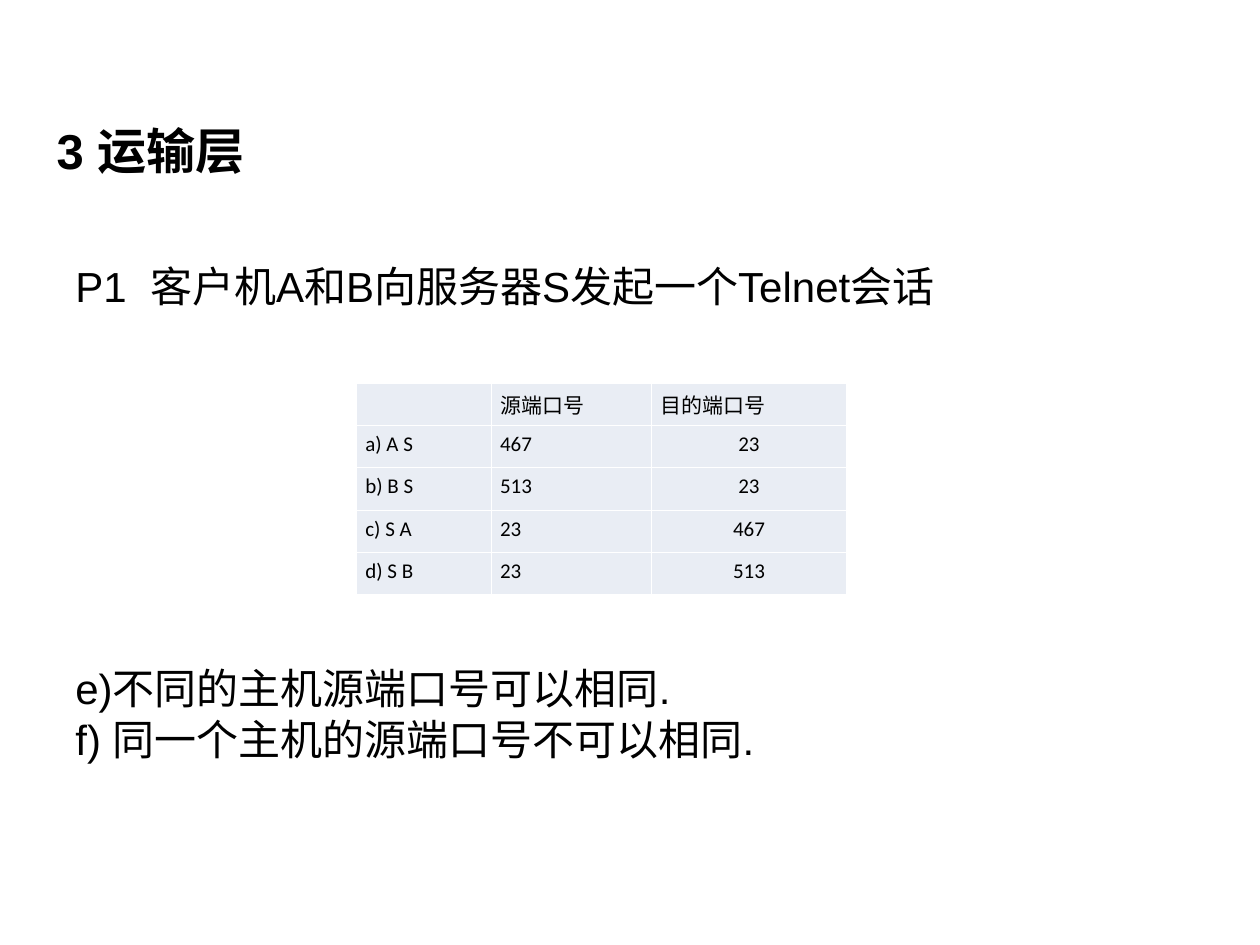
from lxml import etree
from pptx import Presentation
from pptx.dml.color import RGBColor
from pptx.enum.text import PP_ALIGN
from pptx.oxml.ns import qn
from pptx.util import Inches, Pt

COLORS = {"text": "000000", "cell": "E9EDF4", "border": "FFFFFF"}
ROWS = [
    ("", "源端口号", "目的端口号"),
    ("a) A S", "467", "23"),
    ("b) B S", "513", "23"),
    ("c) S A", "23", "467"),
    ("d) S B", "23", "513"),
]
COLUMN_WIDTHS = (1.07, 1.27, 1.55)


def style_runs(p, font, size, bold=False):
    """Give every run of a paragraph the same font."""
    for r in p.runs:
        r.font.name = font
        r.font.size = Pt(size)
        r.font.bold = bold
        r.font.color.rgb = RGBColor.from_string(COLORS["text"])


def add_text(s, box, lines, size, bold=False):
    """Place lines of text in a box and return their paragraphs."""
    tf = s.shapes.add_textbox(*map(Inches, box)).text_frame
    tf.word_wrap = True
    tf.text = "\n".join(lines)
    for p in tf.paragraphs:
        style_runs(p, "Arial", size, bold)
    return tf.paragraphs


def add_borders(cell):
    """Draw thin lines on the four sides of a cell."""
    tc_pr = cell._tc.get_or_add_tcPr()
    for i, side in enumerate(("lnL", "lnR", "lnT", "lnB")):
        ln = etree.Element(qn(f"a:{side}"), w=str(Pt(0.45)))
        fill = etree.SubElement(ln, qn("a:solidFill"))
        etree.SubElement(fill, qn("a:srgbClr"), val=COLORS["border"])
        tc_pr.insert(i, ln)


def fill_cell(cell, value, align):
    """Write and style one table cell."""
    cell.margin_left = cell.margin_right = Inches(0.07)
    cell.fill.solid()
    cell.fill.fore_color.rgb = RGBColor.from_string(COLORS["cell"])
    add_borders(cell)
    cell.text = value
    p = cell.text_frame.paragraphs[0]
    p.alignment = align
    style_runs(p, "Calibri", 12)
    if not value:
        etree.SubElement(p._p, qn("a:endParaRPr"), sz="1200")


def add_port_table(s, box):
    """Place the table of source and destination ports."""
    frame = s.shapes.add_table(len(ROWS), len(COLUMN_WIDTHS), *map(Inches, box))
    table = frame.table
    table.first_row = table.horz_banding = False
    for column, width in zip(table.columns, COLUMN_WIDTHS):
        column.width = Inches(width)
    for i, row in enumerate(ROWS):
        for j, value in enumerate(row):
            centred = i > 0 and j == 2
            align = PP_ALIGN.CENTER if centred else PP_ALIGN.JUSTIFY
            fill_cell(table.cell(i, j), value, align)


def add_exercise(s, box):
    """Place the question and its answers, with room for the table between."""
    lines = [
        "P1  客户机A和B向服务器S发起一个Telnet会话",
        "e)不同的主机源端口号可以相同.",
        "f) 同一个主机的源端口号不可以相同.",
    ]
    paragraphs = add_text(s, box, lines, 24)
    paragraphs[1].space_before = Pt(201)


def main():
    """Build the slide and save it."""
    prs = Presentation()
    prs.slide_width, prs.slide_height = Inches(10), Inches(7.5)
    s = prs.slides.add_slide(prs.slide_layouts[6])
    add_text(s, (0.35, 0.91, 2.99, 0.57), ["3 运输层"], 28, bold=True)
    add_exercise(s, (0.5, 2.02, 8.75, 4.9))
    add_port_table(s, (2.83, 3.04, 3.89, 1.68))
    prs.save("out.pptx")


if __name__ == "__main__":
    main()
